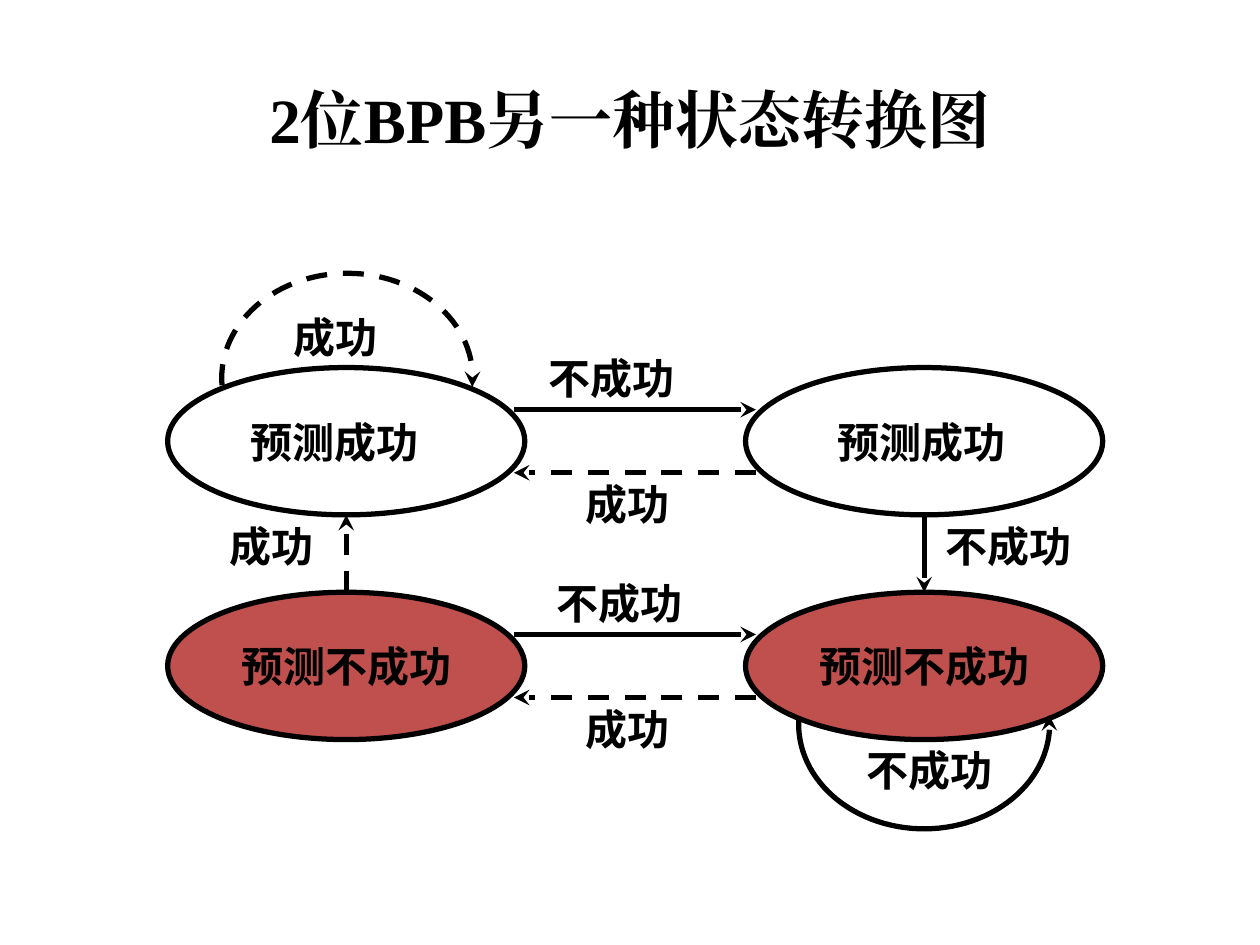
from math import cos, radians, sin

from lxml.etree import SubElement
from pptx import Presentation
from pptx.dml.color import RGBColor
from pptx.enum.dml import MSO_LINE
from pptx.enum.shapes import MSO_CONNECTOR, MSO_SHAPE
from pptx.enum.text import MSO_ANCHOR, MSO_AUTO_SIZE, PP_ALIGN
from pptx.oxml.ns import qn
from pptx.util import Cm, Pt

INK = "000000"
FAIL_FILL = "C0504D"
STATE_W, STATE_H = 7.2, 2.97
COLUMNS = (3.38, 15.03)
ROWS = (7.41, 11.94)
SUCCESS, FAILURE = "成功", "不成功"


def color(hex_value):
    """Turn a hex string into a colour."""
    return RGBColor.from_string(hex_value)


def add_text(paragraph, wording, size, font_name):
    """Add one bold run with the same Latin and East Asian font."""
    run = paragraph.add_run()
    run.text = wording
    run.font.size = Pt(size)
    run.font.bold = True
    run.font.color.rgb = color(INK)
    run.font.name = font_name
    SubElement(run.font._element, qn("a:ea"), typeface=font_name)


def style_line(line, dashed=False):
    """Give a line the common ink and weight, dashed for success."""
    line.color.rgb = color(INK)
    line.width = Pt(3)
    if dashed:
        line.dash_style = MSO_LINE.DASH


def add_arrowhead(line):
    """Put a stealth arrowhead at the end of a line."""
    SubElement(line._get_or_add_ln(), qn("a:tailEnd"), type="stealth")


def add_title(slide, wording):
    """Place and fill the title placeholder."""
    title = slide.shapes.title
    title.left, title.top = Cm(1.9), Cm(0.33)
    title.width, title.height = Cm(21.6), Cm(4.1)
    frame = title.text_frame
    frame.vertical_anchor = MSO_ANCHOR.MIDDLE
    frame.paragraphs[0].alignment = PP_ALIGN.CENTER
    add_text(frame.paragraphs[0], wording, 36, "Times New Roman")


def add_state(slide, left, top, wording, fill=None, shift=0):
    """Draw one state, its text moved left by shift."""
    state = slide.shapes.add_shape(
        MSO_SHAPE.OVAL, Cm(left), Cm(top), Cm(STATE_W), Cm(STATE_H))
    state.shadow.inherit = False
    if fill:
        state.fill.solid()
        state.fill.fore_color.rgb = color(fill)
    else:
        state.fill.background()
    style_line(state.line)
    frame = state.text_frame
    frame.word_wrap = False
    frame.vertical_anchor = MSO_ANCHOR.MIDDLE
    frame.margin_left = Cm(0.25)
    frame.margin_right = Cm(0.25 + 2 * shift)
    frame.paragraphs[0].alignment = PP_ALIGN.CENTER
    add_text(frame.paragraphs[0], wording, 24, "Noto Sans CJK SC")


def add_transition(slide, start, end, dashed=False):
    """Draw a straight arrow between two states."""
    arrow = slide.shapes.add_connector(
        MSO_CONNECTOR.STRAIGHT, *(Cm(value) for value in start + end))
    SubElement(arrow._element.spPr, qn("a:effectLst"))
    style_line(arrow.line, dashed)
    add_arrowhead(arrow.line)


def add_loop(slide, center, first_angle, last_angle, dashed=False):
    """Draw an arc-shaped arrow from a state back to itself."""
    steps = 60
    points = []
    for step in range(steps + 1):
        angle = radians(first_angle + (last_angle - first_angle) * step / steps)
        points.append((Cm(center[0] + 2.53 * cos(angle)),
                       Cm(center[1] + 2.11 * sin(angle))))
    builder = slide.shapes.build_freeform(*points[0])
    builder.add_line_segments(points[1:], close=False)
    loop = builder.convert_to_shape()
    loop.shadow.inherit = False
    loop.fill.background()
    style_line(loop.line, dashed)
    add_arrowhead(loop.line)


def add_label(slide, left, top, outcome):
    """Write the outcome beside its arrow."""
    width = 2.21 if outcome == SUCCESS else 3.05
    label = slide.shapes.add_textbox(Cm(left), Cm(top), Cm(width), Cm(1.27))
    frame = label.text_frame
    frame.word_wrap = False
    frame.auto_size = MSO_AUTO_SIZE.SHAPE_TO_FIT_TEXT
    add_text(frame.paragraphs[0], outcome, 24, "DejaVu Sans")


def main():
    """Build the state transition slide."""
    deck = Presentation()
    deck.slide_width, deck.slide_height = Cm(25.4), Cm(19.05)
    slide = deck.slides.add_slide(deck.slide_layouts[5])
    add_title(slide, "2位BPB另一种状态转换图")

    add_loop(slide, (7, 7.62), 176, 365, dashed=True)
    upper, lower = ROWS
    for column, shift in zip(COLUMNS, (0.23, 0.05)):
        add_state(slide, column, upper, "预测成功", shift=shift)
        add_state(slide, column, lower, "预测不成功", FAIL_FILL)

    west, east = 10.36, 15.24
    for row in ROWS:
        add_transition(slide, (west, row + 0.85), (east, row + 0.85))
        add_transition(slide, (east, row + 2.12), (west, row + 2.12), dashed=True)
        add_label(slide, 11.56, row + 2.11, SUCCESS)

    left_axis, right_axis = (column + STATE_W / 2 for column in COLUMNS)
    upper_edge = upper + STATE_H
    add_transition(slide, (right_axis, upper_edge), (right_axis, lower))
    add_transition(slide, (left_axis, lower), (left_axis, upper_edge), dashed=True)
    add_loop(slide, (18.63, 14.6), 184, -5)

    for left, top, outcome in (
        (10.8, 6.99, FAILURE),
        (10.97, 11.51, FAILURE),
        (4.37, 10.36, SUCCESS),
        (18.82, 10.36, FAILURE),
        (17.22, 14.88, FAILURE),
        (5.66, 6.15, SUCCESS),
    ):
        add_label(slide, left, top, outcome)

    deck.save("out.pptx")


if __name__ == "__main__":
    main()
